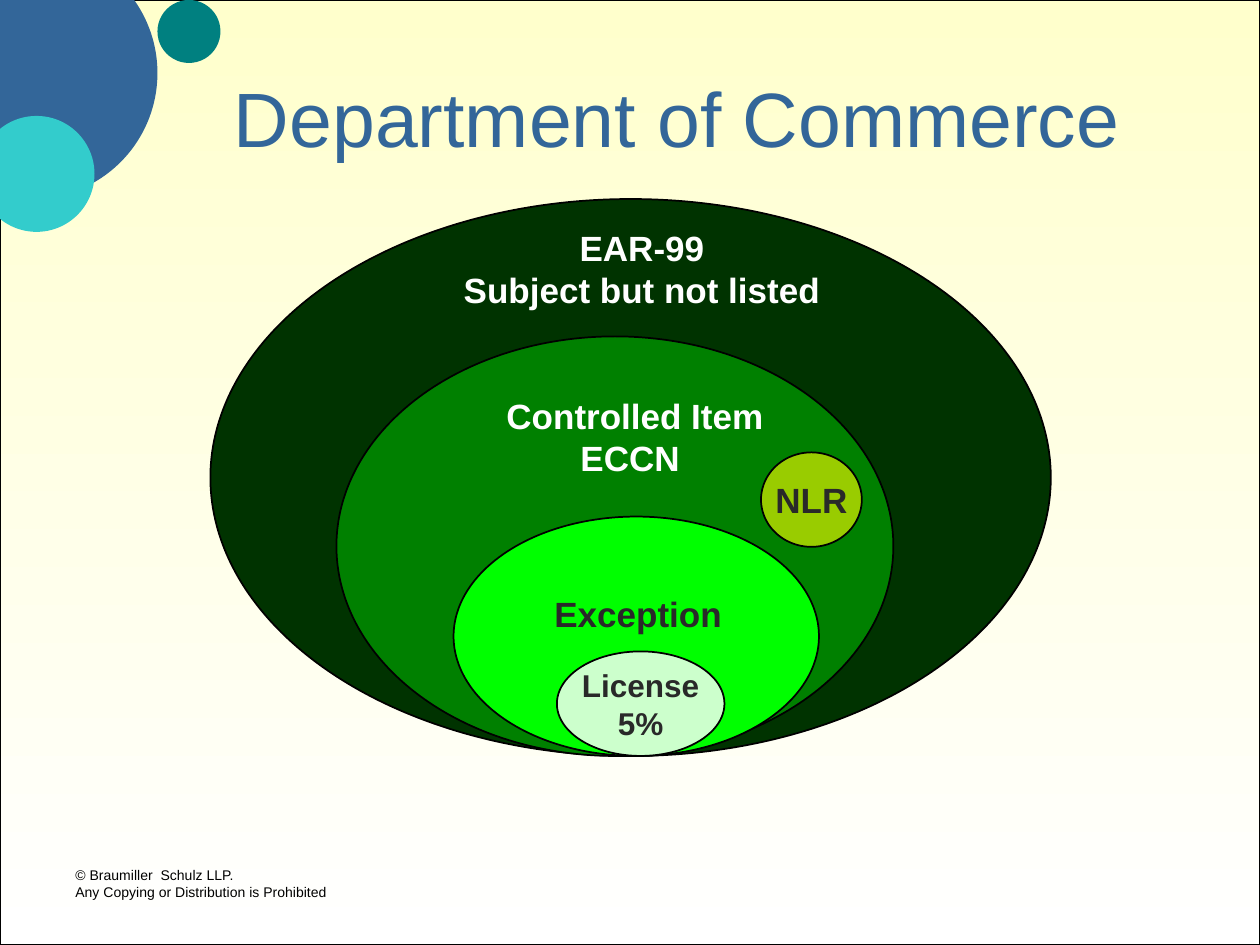
"""Build a slide of nested ellipses showing Department of Commerce export categories."""
from pptx import Presentation
from pptx.dml.color import RGBColor
from pptx.enum.shapes import MSO_SHAPE
from pptx.enum.text import MSO_ANCHOR, MSO_AUTO_SIZE, PP_ALIGN
from pptx.util import Inches, Pt

OVAL, RECTANGLE = MSO_SHAPE.OVAL, MSO_SHAPE.RECTANGLE
LEFT, CENTER = PP_ALIGN.LEFT, PP_ALIGN.CENTER
MIDDLE = MSO_ANCHOR.MIDDLE
FIT_SHAPE = MSO_AUTO_SIZE.SHAPE_TO_FIT_TEXT
TITLE_ONLY = 5
FONT = "Arial"
COLORS = {
    "cream": "FFFFCC", "white": "FFFFFF", "black": "000000", "charcoal": "292929",
    "blue": "336699", "teal": "008080", "aqua": "33CCCC",
    "forest": "003300", "green": "008000", "lime": "00FF00",
    "mint": "CCFFCC", "olive": "99CC00",
}


def rgb(color):
    return RGBColor.from_string(COLORS[color])


def inches(box):
    return [Inches(length) for length in box]


def write(frame, text, size, color, bold=False, align=CENTER):
    frame.text = text
    for paragraph in frame.paragraphs:
        paragraph.alignment = align
        for run in paragraph.runs:
            run.font.name = FONT
            run.font.size = Pt(size)
            run.font.bold = bold
            run.font.color.rgb = rgb(color)


def outline(shape, width):
    shape.line.color.rgb = rgb("black")
    shape.line.width = Pt(width)


def add_backdrop(slide, width, height):
    backdrop = slide.shapes.add_shape(RECTANGLE, 0, 0, width, height)
    backdrop.shadow.inherit = False
    backdrop.fill.gradient()
    backdrop.fill.gradient_angle = 270
    for stop, color in zip(backdrop.fill.gradient_stops, ("cream", "white")):
        stop.color.rgb = rgb(color)
    outline(backdrop, 0.75)


def add_oval(slide, box, color, outlined=True):
    oval = slide.shapes.add_shape(OVAL, *inches(box))
    oval.shadow.inherit = False
    oval.fill.solid()
    oval.fill.fore_color.rgb = rgb(color)
    if outlined:
        outline(oval, 1)
    else:
        oval.line.fill.background()
    return oval


def add_labeled_oval(slide, box, color, text, size):
    frame = add_oval(slide, box, color).text_frame
    frame.word_wrap = False
    frame.vertical_anchor = MIDDLE
    write(frame, text, size, "charcoal", bold=True)


def add_label(slide, box, text, color):
    frame = slide.shapes.add_textbox(*inches(box)).text_frame
    frame.word_wrap = False
    frame.auto_size = FIT_SHAPE
    write(frame, text, 20, color, bold=True)


def add_copyright(slide):
    frame = slide.shapes.add_textbox(*inches((0.5, 6.83, 2.33, 0.52))).text_frame
    frame.word_wrap = True
    write(frame, "© Braumiller  Schulz LLP.\nAny Copying or Distribution is Prohibited",
          8, "black", align=LEFT)


def place_title(slide, text):
    title = slide.shapes.title
    slide.shapes.element.append(title.element)
    title.left, title.top, title.width, title.height = inches((1.25, 0.3, 8.25, 1.25))
    title.text_frame.vertical_anchor = MIDDLE
    write(title.text_frame, text, 44, "blue")


def main():
    deck = Presentation()
    deck.slide_width, deck.slide_height = Inches(10), Inches(7.5)
    slide = deck.slides.add_slide(deck.slide_layouts[TITLE_ONLY])

    add_backdrop(slide, deck.slide_width, deck.slide_height)
    for left, top, diameter, color in (
        (-0.75, -0.42, 2, "blue"),
        (1.25, 0, 0.5, "teal"),
        (-0.17, 0.92, 0.92, "aqua"),
    ):
        add_oval(slide, (left, top, diameter, diameter), color, outlined=False)
    add_copyright(slide)
    place_title(slide, "Department of Commerce")

    for box, color in (
        ((1.67, 1.58, 6.67, 4.42), "forest"),
        ((2.67, 2.67, 4.42, 3.33), "green"),
        ((3.6, 4.1, 2.9, 1.9), "lime"),
    ):
        add_oval(slide, box, color)
    add_labeled_oval(slide, (4.42, 5.17, 1.33, 0.83), "mint", "License\n5%", 18)
    add_labeled_oval(slide, (6.04, 3.59, 0.8, 0.75), "olive", "NLR", 20)
    for box, text, color in (
        ((3.58, 1.75, 3.03, 0.77), "EAR-99\nSubject but not listed", "white"),
        ((3.92, 3.08, 2.24, 0.77), "Controlled Item\nECCN ", "white"),
        ((4.3, 4.65, 1.53, 0.44), "Exception", "charcoal"),
    ):
        add_label(slide, box, text, color)

    deck.save("out.pptx")


if __name__ == "__main__":
    main()
